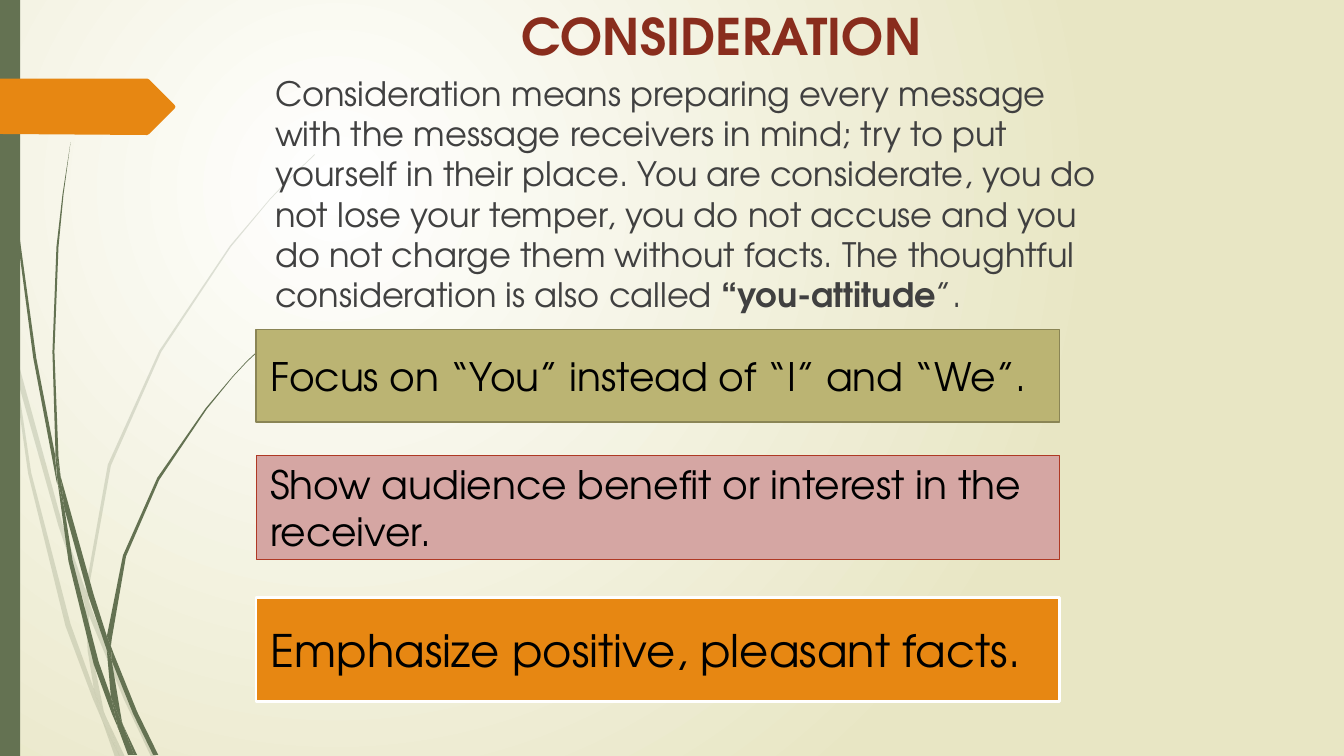
from lxml import etree
from pptx import Presentation
from pptx import util as u
from pptx.dml.color import RGBColor
from pptx.enum import shapes, text
from pptx.oxml.ns import qn

PX = 9144  # EMU per px, 100 px to the inch
FONT = "TeX Gyre Adventor"
COLORS = {
    "white": "FFFFFF", "cream": "E8E6C4", "green": "647252", "orange": "E78712",
    "brick": "892D1D", "grey": "404040", "black": "000000", "olive": "BBB473",
    "olive_edge": "8A8555", "rose": "D5A6A3", "rose_edge": "AF3924",
}

# Outlines of the blades of grass, as x,y corners
PALE_BLADES = [
    "11,350 9,322 0,282 0,299 10,344",
    "58,522 84,599 85,586 62,520 14,345 17,376",
    "92,607 88,596 88,610 123,694 150,751 155,751 127,692",
    "119,751 124,751 105,711",
    "93,683 70,619 31,469 17,376 11,350 28,470 65,621 92,693 101,714 99,707",
    "84,599 87,646 93,683 96,692 105,711 103,706 91,646 88,610 88,608",
    "88,584 110,462 160,349 229,245 268,198 290,175 312,154 312,153 289,175 268,197 228,244 "
    "158,348 107,461 85,584 85,586 88,596",
    "101,714 114,751 119,751",
    "88,608 88,610 88,596 85,586 84,599",
    "96,692 93,683 99,707 101,714 119,751 105,711",
]
DARK_BLADES = [
    "7,110 17,233 33,355 56,477 57,481 55,457 55,453 36,355 19,232 8,109 5,48 4,0 3,0 4,48",
    "88,592 106,645 106,633 106,631 93,590 60,472 64,505",
    "113,649 110,641 111,656 132,708 152,749 157,749 136,706",
    "110,691 98,657 72,556 64,505 57,477 68,557 93,659 111,708 117,722 116,717",
    "60,472 58,453 54,349 58,245 63,193 70,141 62,193 56,245 52,349 55,449",
    "133,749 136,749 122,719",
    "57,477 64,505 60,472 55,449 55,453",
    "111,633 125,552 158,476 205,406 231,374 245,359 261,344 260,344 245,358 231,373 204,405 "
    "156,474 122,551 106,631 110,641",
    "117,722 127,749 131,749",
    "106,645 110,691 116,706 122,719 121,716 111,656 109,651",
    "106,645 109,651 111,656 110,641 106,631 106,633",
    "116,706 110,691 116,717 117,722 130,749 133,749 122,719",
]
TAG = "0,78 146,78 148,79 173,104 174,106 173,108 148,133 146,134 0,133"

# Message boxes: wording, size, top, height, fill, edge, edge width
MESSAGES = [
    ("Focus on “You” instead of “I” and “We”.", 28, 327, 92, "olive", "olive_edge", 1.25),
    ("Show audience benefit or interest in the receiver.", 28, 452, 103, "rose", "rose_edge", 0.75),
    ("Emphasize positive, pleasant facts.", 32, 593, 103, "orange", "white", 1.75),
]


def rgb(name):
    return RGBColor.from_string(COLORS[name])


def write(frame, *parts, size, color, align=text.PP_ALIGN.LEFT, anchor=text.MSO_ANCHOR.TOP, indent=0):
    """Fill a frame with one paragraph; each part is (wording, bold)."""
    frame.word_wrap = True
    frame.vertical_anchor = anchor
    para = frame.paragraphs[0]
    para.alignment = align
    para._p.get_or_add_pPr().set("marL", str(indent * PX))
    for wording, bold in parts:
        span = para.add_run()
        span.text = wording
        span.font.name, span.font.size, span.font.bold = FONT, u.Pt(size), bold
        span.font.color.rgb = rgb(color)


class Painter:
    def __init__(self, width, height):
        self.deck = Presentation()
        self.deck.slide_width, self.deck.slide_height = width * PX, height * PX
        self.page = self.deck.slides.add_slide(self.deck.slide_layouts[6])

    def backdrop(self, inner, outer):
        fill = self.page.background.fill
        fill.gradient()
        for stop, place, color in zip(fill.gradient_stops, (0, 1), (inner, outer)):
            stop.position, stop.color.rgb = place, rgb(color)
        gradient = self.page._element.find(".//" + qn("a:gradFill"))
        gradient.remove(gradient.find(qn("a:lin")))
        path = etree.SubElement(gradient, qn("a:path"), path="circle")
        etree.SubElement(path, qn("a:fillToRect"), l="50000", t="50000", r="100000", b="100000")

    def paint(self, shape, fill, edge=None, width=0, opacity=100):
        shape.shadow.inherit = False
        shape.fill.solid()
        shape.fill.fore_color.rgb = rgb(fill)
        if opacity < 100:
            color = shape._element.spPr.find(qn("a:solidFill"))[0]
            etree.SubElement(color, qn("a:alpha"), val=str(opacity * 1000))
        if edge:
            shape.line.color.rgb, shape.line.width = rgb(edge), u.Pt(width)
        else:
            shape.line.fill.background()
        return shape

    def outline(self, corners, fill, opacity=100, group=None):
        points = [tuple(int(n) * PX for n in pair.split(",")) for pair in corners.split()]
        builder = (group or self.page).shapes.build_freeform(*points[0])
        builder.add_line_segments(points[1:], close=True)
        self.paint(builder.convert_to_shape(), fill, opacity=opacity)

    def grass(self, blades, opacity):
        group = self.page.shapes.add_group_shape()
        for blade in blades:
            self.outline(blade, "green", opacity, group)

    def rect(self, at, fill, edge=None, width=0):
        shape = self.page.shapes.add_shape(shapes.MSO_SHAPE.RECTANGLE, *(n * PX for n in at))
        return self.paint(shape, fill, edge, width)

    def label(self, at, *parts, **style):
        box = self.page.shapes.add_textbox(*(n * PX for n in at))
        write(box.text_frame, *parts, **style)


def main():
    painter = Painter(1333, 750)

    # Background, grass and side bar
    painter.backdrop("white", "cream")
    painter.grass(PALE_BLADES, 20)
    painter.grass(DARK_BLADES, 100)
    painter.rect((0, 0, 20, 750), "green")
    painter.outline(TAG, "orange")

    # Title and explanation
    painter.label((228, 0, 975, 82), ("CONSIDERATION", True), size=36, color="brick",
                  align=text.PP_ALIGN.CENTER)
    painter.label(
        (217, 67, 900, 658),
        ("Consideration means preparing every message with the message receivers in mind; "
         "try to put yourself in their place. You are considerate, you do not lose your temper, "
         "you do not accuse and you do not charge them without facts. "
         "The thoughtful consideration is also called ", False),
        ("“you-attitude", True), ("”.", False), size=24, color="grey", indent=46)

    # Message boxes
    for wording, size, top, height, fill, edge, width in MESSAGES:
        box = painter.rect((254, top, 797, height), fill, edge, width)
        write(box.text_frame, (wording, False), size=size, color="black",
              anchor=text.MSO_ANCHOR.MIDDLE, indent=4)

    painter.deck.save("out.pptx")


if __name__ == "__main__":
    main()
